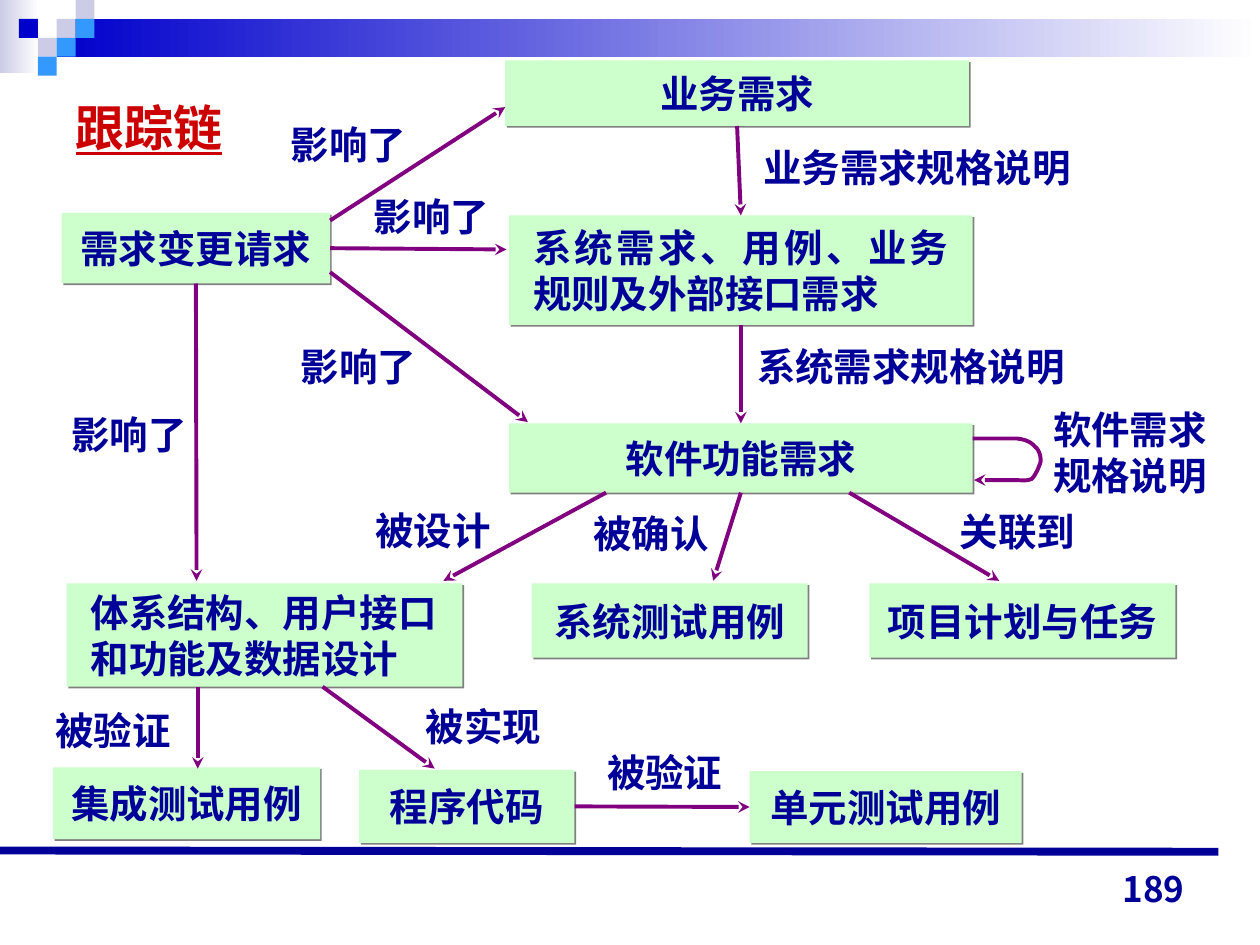
from dataclasses import dataclass

from lxml.etree import SubElement
from pptx import Presentation
from pptx.dml.color import RGBColor
from pptx.enum.shapes import MSO_CONNECTOR, MSO_SHAPE
from pptx.enum.text import MSO_ANCHOR, PP_ALIGN
from pptx.oxml.ns import qn
from pptx.util import Inches, Pt


@dataclass(frozen=True)
class Theme:
    navy: str = "000099"
    blue: str = "0000CC"
    sky: str = "3399FF"
    lavender: str = "CCCCE6"
    white: str = "FFFFFF"
    mint: str = "CCFFCC"
    purple: str = "800080"
    red: str = "CC0000"
    gray: str = "808080"
    body_font: str = "Times New Roman"
    title_font: str = "Arial"
    number_font: str = "Noto Sans CJK JP"
    asian_font: str = "Noto Sans CJK SC"
    body_size: float = 22
    title_size: float = 28
    number_size: float = 20
    line_pitch: float = 26.5
    arrow_width: float = 2.25
    rule_width: float = 4.5


@dataclass(frozen=True)
class Box:
    left: float
    top: float
    width: float
    height: float

    def point(self, x, y):
        return Inches(self.left + x), Inches(self.top + y)

    def area(self, x, y, width, height):
        return *self.point(x, y), Inches(width), Inches(height)


THEME = Theme()
BOTTOM, LEFT, RIGHT, TOP = 2, 1, 3, 0

# name: (text, left, top, width, height)
NODES = {
    "business": ("业务需求", 4.01, 0.48, 3.68, 0.52),
    "system": ("系统需求、用例、业务规则及外部接口需求", 4.04, 1.71, 3.68, 0.87),
    "change": ("需求变更请求", 0.49, 1.69, 2.13, 0.56),
    "function": ("软件功能需求", 4.04, 3.36, 3.68, 0.55),
    "design": ("体系结构、用户接口\n和功能及数据设计", 0.53, 4.63, 3.14, 0.82),
    "system_test": ("系统测试用例", 4.22, 4.63, 2.19, 0.59),
    "plan": ("项目计划与任务", 6.9, 4.63, 2.43, 0.59),
    "integration_test": ("集成测试用例", 0.42, 6.09, 2.12, 0.57),
    "code": ("程序代码", 2.85, 6.11, 1.71, 0.58),
    "unit_test": ("单元测试用例", 5.95, 6.12, 2.16, 0.57),
}
MULTILINE_NODES = {"system", "design"}

# Each end is a point, or a node name with the side it is joined to.
ARROWS = [
    (("business", BOTTOM), ("system", TOP)),
    (("system", BOTTOM), ("function", TOP)),
    ((2.62, 1.75), (4.01, 0.85)),
    (("change", RIGHT), (4.02, 1.98)),
    ((2.62, 2.16), (4.19, 3.35)),
    (("change", BOTTOM), (1.56, 4.61)),
    ((4.81, 3.91), (3.52, 4.61)),
    (("function", BOTTOM), (5.66, 4.61)),
    ((6.74, 3.91), (7.93, 4.61)),
    ((1.57, 5.45), (1.57, 6.1)),
    ((2.56, 5.45), (3.45, 6.1)),
    (("code", RIGHT), ("unit_test", LEFT)),
]

LABELS = [
    ("业务需求规格说明", 5.96, 1.06, 3.23),
    ("系统需求规格说明", 5.91, 2.64, 2.69),
    ("软件需求\n规格说明", 8.26, 3.14, 1.52),
    ("影响了", 2.21, 0.88, 1.27),
    ("影响了", 2.87, 1.45, 1.27),
    ("影响了", 2.29, 2.64, 1.27),
    ("影响了", 0.47, 3.18, 1.27),
    ("被设计", 2.88, 3.94, 1.27),
    ("被确认", 4.61, 3.97, 1.27),
    ("关联到", 7.52, 3.95, 1.27),
    ("被验证", 0.34, 5.53, 1.29),
    ("被实现", 3.28, 5.5, 1.27),
    ("被验证", 4.72, 5.86, 1.29),
]

LOOP_START = (7.72, 3.48)
LOOP_CURVES = [
    ((7.85, 3.48), (7.99, 3.48), (8.07, 3.48)),
    ((8.15, 3.49), (8.18, 3.51), (8.21, 3.54)),
    ((8.25, 3.57), (8.26, 3.62), (8.26, 3.66)),
    ((8.25, 3.7), (8.22, 3.77), (8.19, 3.8)),
    ((8.15, 3.82), (8.11, 3.81), (8.04, 3.81)),
    ((7.96, 3.81), (7.78, 3.81), (7.73, 3.81)),
]


def color(value):
    return RGBColor.from_string(value)


def write(shape, text, size=THEME.body_size, font=THEME.body_font, fill=THEME.navy,
          align=PP_ALIGN.LEFT, anchor=MSO_ANCHOR.TOP, pitch=None):
    frame = shape.text_frame
    frame.text = text
    frame.word_wrap = True
    frame.vertical_anchor = anchor
    for paragraph in frame.paragraphs:
        paragraph.alignment = align
        if pitch:
            paragraph.line_spacing = Pt(pitch)
        for run in paragraph.runs:
            run.font.size, run.font.name, run.font.bold = Pt(size), font, True
            run.font.color.rgb = color(fill)
            properties = run.font._element
            SubElement(properties, qn("a:ea"), typeface=THEME.asian_font)


def add_rectangle(slide, area, fill):
    shape = slide.shapes.add_shape(MSO_SHAPE.RECTANGLE, *area)
    shape.shadow.inherit = False
    shape.line.fill.background()
    if isinstance(fill, str):
        shape.fill.solid()
        shape.fill.fore_color.rgb = color(fill)
    else:
        shape.fill.gradient()
        shape.fill.gradient_angle = 180
        for stop, value in zip(shape.fill.gradient_stops, fill):
            stop.color.rgb = color(value)
    return shape


def style_line(shape, value, width, arrow=False):
    shape.line.color.rgb = color(value)
    shape.line.width = Pt(width)
    properties = shape._element.spPr
    if arrow:
        SubElement(properties.find(qn("a:ln")), qn("a:tailEnd"), type="stealth", w="med", len="med")
    if properties.find(qn("a:effectLst")) is None:
        SubElement(properties, qn("a:effectLst"))


def add_header(slide, box):
    add_rectangle(slide, box.area(0, 0, 0.31, 0.58), (THEME.white, THEME.lavender))
    add_rectangle(slide, box.area(0.45, 0.15, 9.55, 0.3), (THEME.white, THEME.blue))
    side = 0.15
    squares = [(3, 1, THEME.lavender), (4, 0, THEME.lavender), (4, 1, THEME.sky),
               (2, 2, THEME.lavender), (1, 1, THEME.blue), (3, 2, THEME.sky), (2, 3, THEME.sky)]
    for column, row, fill in squares:
        add_rectangle(slide, box.area(column * side, row * side, side, side), fill)


def add_title(slide, box):
    title = slide.shapes.title
    title.left, title.top, title.width, title.height = box.area(0, 0, box.width, box.height)
    write(title, "跟踪链", THEME.title_size, THEME.title_font, THEME.red, anchor=MSO_ANCHOR.MIDDLE)
    title.text_frame.paragraphs[0].runs[0].font.underline = True


def add_node(slide, area, text, multiline):
    node = add_rectangle(slide, area, THEME.mint)
    effects = node._element.spPr.find(qn("a:effectLst"))
    shadow = SubElement(effects, qn("a:outerShdw"), dist=str(Pt(1.4)), dir="2700000", algn="ctr")
    SubElement(shadow, qn("a:srgbClr"), val=THEME.gray)
    align = PP_ALIGN.JUSTIFY if multiline else PP_ALIGN.CENTER
    write(node, text, align=align, anchor=MSO_ANCHOR.MIDDLE, pitch=THEME.line_pitch)
    node.text_frame.margin_left = node.text_frame.margin_right = Inches(0.19 if multiline else 0)
    return node


def add_arrow(slide, box, nodes, ends):
    """Join named ends to their node; leave the others at their point."""
    points = [box.point(0, 0) if end[0] in nodes else box.point(*end) for end in ends]
    arrow = slide.shapes.add_connector(MSO_CONNECTOR.STRAIGHT, *points[0], *points[1])
    for end, connect in zip(ends, (arrow.begin_connect, arrow.end_connect)):
        if end[0] in nodes:
            connect(nodes[end[0]], end[1])
    style_line(arrow, THEME.purple, THEME.arrow_width, arrow=True)


def curve_points(start, curves, steps=6):
    """Sample a chain of cubic Bézier curves."""
    for first, second, end in curves:
        for step in range(1, steps + 1):
            t = step / steps
            weights = ((1 - t) ** 3, 3 * t * (1 - t) ** 2, 3 * t * t * (1 - t), t ** 3)
            corners = (start, first, second, end)
            yield tuple(sum(w * corner[axis] for w, corner in zip(weights, corners)) for axis in (0, 1))
        start = end


def add_loop(slide, box):
    builder = slide.shapes.build_freeform(*box.point(*LOOP_START))
    builder.add_line_segments([box.point(*p) for p in curve_points(LOOP_START, LOOP_CURVES)], close=False)
    loop = builder.convert_to_shape()
    loop.shadow.inherit = False
    loop.fill.background()
    style_line(loop, THEME.purple, THEME.arrow_width, arrow=True)


def add_diagram(slide, box):
    nodes = {name: add_node(slide, box.area(*place), text, name in MULTILINE_NODES)
             for name, (text, *place) in NODES.items()}
    for ends in ARROWS:
        add_arrow(slide, box, nodes, ends)
    add_loop(slide, box)
    for text, left, top, width in LABELS:
        height = 0.88 if "\n" in text else 0.46
        label = slide.shapes.add_textbox(*box.area(left, top, width, height))
        write(label, text, pitch=THEME.line_pitch)
        label.text_frame.margin_top = Inches(0.08)


def add_footer(slide, box):
    rule = slide.shapes.add_connector(MSO_CONNECTOR.STRAIGHT, *box.point(0, 0), *box.point(9.67, 0.01))
    style_line(rule, THEME.navy, THEME.rule_width)
    number = slide.shapes.add_textbox(*box.area(7.17, 0.02, 2.33, 0.5))
    write(number, "189", THEME.number_size, THEME.number_font,
          align=PP_ALIGN.RIGHT, anchor=MSO_ANCHOR.BOTTOM)


def main():
    presentation = Presentation()
    presentation.slide_width, presentation.slide_height = Inches(10), Inches(7.5)
    slide = presentation.slides.add_slide(presentation.slide_layouts[5])
    add_header(slide, Box(0, 0, 10, 0.6))
    add_footer(slide, Box(0, 6.75, 10, 0.75))
    add_diagram(slide, Box(0, 0, 10, 6.75))
    add_title(slide, Box(0.5, 0.51, 1.86, 0.99))
    presentation.save("out.pptx")


if __name__ == "__main__":
    main()
